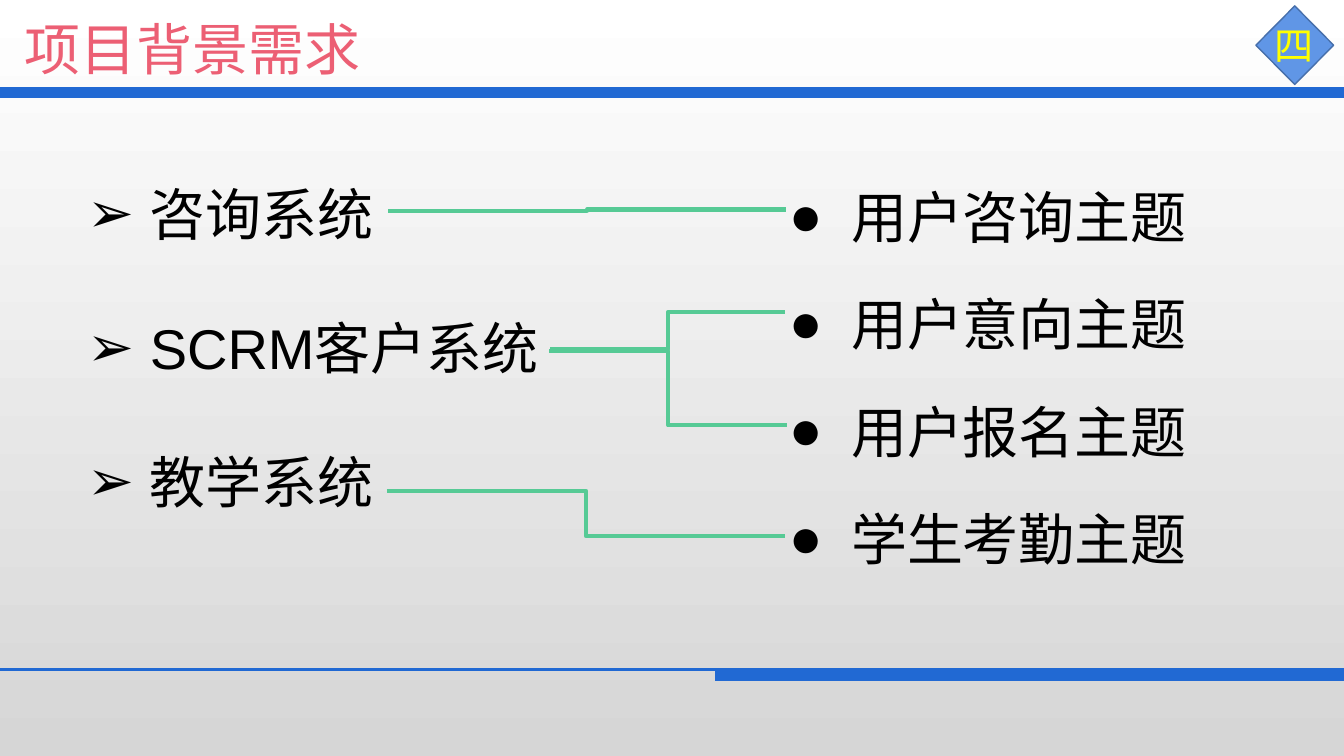
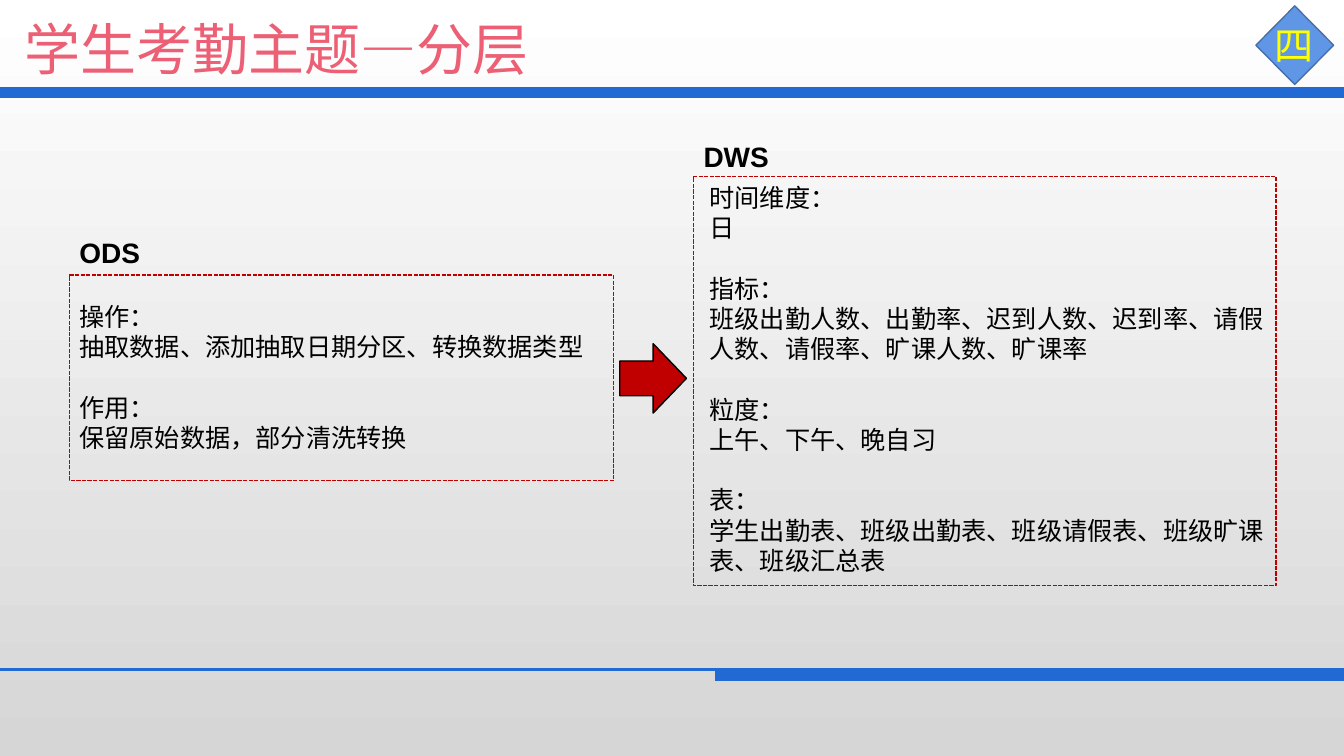
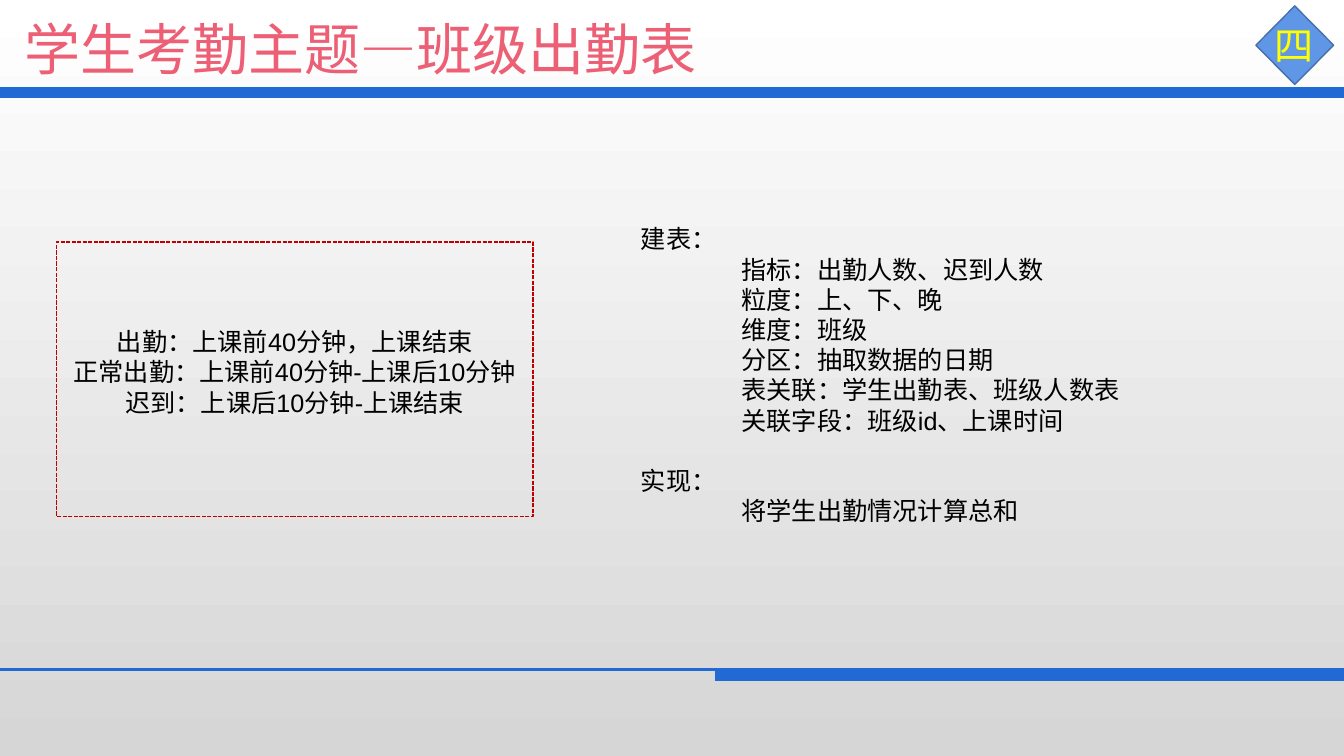
"""Build three slides on the background and the attendance topic of a data project."""
from lxml import etree
from pptx import Presentation
from pptx.dml.color import RGBColor
from pptx.enum.dml import MSO_LINE
from pptx.enum.shapes import MSO_CONNECTOR, MSO_SHAPE
from pptx.enum.text import PP_ALIGN
from pptx.oxml.ns import qn
from pptx.util import Cm, Pt

BLUE = RGBColor(0x21, 0x69, 0xD3)
SKY = RGBColor(0x60, 0x96, 0xE6)
NAVY = RGBColor(0x47, 0x6F, 0xAA)
PINK = RGBColor(0xEC, 0x5F, 0x74)
GOLD = RGBColor(0xFF, 0xFF, 0x00)
GREEN = RGBColor(0x56, 0xCA, 0x95)
RED = RGBColor(0xC0, 0x00, 0x00)
BLACK = RGBColor(0x00, 0x00, 0x00)
WHITE = RGBColor(0xFF, 0xFF, 0xFF)
GREY = RGBColor(0xD6, 0xD6, 0xD6)
FONT = "Arial"
DASH = MSO_LINE.SQUARE_DOT
BENT, LINE = MSO_CONNECTOR.ELBOW, MSO_CONNECTOR.STRAIGHT
RECT, GEM, ARROW = MSO_SHAPE.RECTANGLE, MSO_SHAPE.DIAMOND, MSO_SHAPE.RIGHT_ARROW
LEFT, MID = PP_ALIGN.LEFT, PP_ALIGN.CENTER


def write(slide, area, groups, size=18, color=BLACK, bold=False, align=LEFT,
          gap=0, pitch=None, mark=None, inset=0):
    """Write groups of lines, a gap before each group, later lines inset."""
    frame = slide.shapes.add_textbox(*map(Cm, area)).text_frame
    frame.word_wrap = True
    para = None
    for group in groups:
        for row, line in enumerate(group):
            first = para is None
            para = frame.paragraphs[0] if first else frame.add_paragraph()
            props = para._p.get_or_add_pPr()
            if mark:
                props.set("marL", str(Cm(1.57)))
                props.set("indent", str(-Cm(1.57)))
                etree.SubElement(props, qn("a:buFont"), typeface=FONT)
                etree.SubElement(props, qn("a:buChar"), char=mark)
            elif inset and row:
                props.set("marL", str(Cm(inset)))
            para.alignment = align
            if pitch:
                para.line_spacing = pitch
            if gap and not row and not first:
                para.space_before = Pt(gap)
            run = para.add_run()
            run.text = line
            run.font.name, run.font.size = FONT, Pt(size)
            run.font.bold, run.font.color.rgb = bold, color


def style(item, color, width, fill=None, dash=None):
    """Set the outline and fill of a shape or connector, without a shadow."""
    item.line.color.rgb = color
    item.line.width = Pt(width)
    if dash:
        item.line.dash_style = dash
    if fill:
        item.fill.solid()
        item.fill.fore_color.rgb = fill
    elif hasattr(item, "fill"):
        item.fill.background()
    etree.SubElement(item._element.spPr, qn("a:effectLst"))


deck = Presentation()
deck.slide_width, deck.slide_height = Cm(33.87), Cm(19.05)
back = deck.slide_master.background.fill
back.gradient()
back.gradient_angle = 270
for stop, color in zip(back.gradient_stops, (WHITE, GREY)):
    stop.color.rgb = color

slides = []
for title in ("项目背景需求", "学生考勤主题—分层", "学生考勤主题—班级出勤表"):
    slide = deck.slides.add_slide(deck.slide_layouts[6])
    slides.append(slide)
    for left, top, width in ((-0.05, 2.34, 8), (18.01, 17.02, 8), (-0.05, 16.87, 2)):
        ends = map(Cm, (left, top, 33.9, top))
        style(slide.shapes.add_connector(LINE, *ends), BLUE, width)
    write(slide, (0.38, 0.25, 22.15, 1.96), [[title]], size=40, color=PINK)
    badge = slide.shapes.add_shape(GEM, *map(Cm, (31.65, 0.15, 1.96, 1.98)))
    style(badge, NAVY, 1, fill=SKY)
    write(slide, (31.88, 0.41, 1.5, 1.45), [["四"]], size=28, color=GOLD)
needs, layers, table = slides

write(needs, (1.96, 4.39, 11.89, 8.81), [["咨询系统"], ["SCRM客户系统"], ["教学系统"]],
      size=40, gap=48, mark="➢")
write(needs, (19.63, 3.45, 10.7, 11.2),
      [["用户咨询主题", "用户意向主题", "用户报名主题", "学生考勤主题"]],
      size=40, pitch=1.6, mark="●")
for ends in ((13.87, 8.79, 19.79, 7.87), (13.84, 8.84, 19.84, 10.72),
             (9.78, 5.31, 19.81, 5.28), (9.75, 12.37, 19.79, 13.51)):
    style(needs.shapes.add_connector(BENT, *map(Cm, ends)), GREEN, 3)

for slide, area in ((layers, (1.75, 6.93, 13.72, 5.18)),
                    (layers, (17.48, 4.45, 14.68, 10.31)),
                    (table, (1.42, 6.1, 12.01, 6.91))):
    style(slide.shapes.add_shape(RECT, *map(Cm, area)), RED, 1, dash=DASH)

write(layers, (1.75, 7.47, 13.72, 4.09), [
    ["操作：", "抽取数据、添加抽取日期分区、转换数据类型"],
    ["作用：", "保留原始数据，部分清洗转换"],
], gap=21.6)
write(layers, (17.63, 4.47, 14.68, 10.26), [
    ["时间维度：", "日"],
    ["指标：", "班级出勤人数、出勤率、迟到人数、迟到率、请假人数、请假率、旷课人数、旷课率"],
    ["粒度：", "上午、下午、晚自习"],
    ["表：", "学生出勤表、班级出勤表、班级请假表、班级旷课表、班级汇总表"],
], gap=21.6)
for name, left, top in (("DWS", 17.48, 3.38), ("ODS", 1.75, 5.82)):
    write(layers, (left, top, 3.02, 1.12), [[name]], size=20, bold=True)
arrow = layers.shapes.add_shape(ARROW, *map(Cm, (15.62, 8.66, 1.68, 1.75)))
style(arrow, BLACK, 1, fill=RED)

write(table, (15.9, 5.51, 17.15, 7.95), [
    ["建表：", "指标：出勤人数、迟到人数", "粒度：上、下、晚", "维度：班级",
     "分区：抽取数据的日期", "表关联：学生出勤表、班级人数表", "关联字段：班级id、上课时间"],
    ["实现：", "将学生出勤情况计算总和"],
], gap=21.6, inset=2.54)
write(table, (1.42, 8.1, 12.01, 2.57), [
    ["出勤：上课前40分钟，上课结束", "正常出勤：上课前40分钟-上课后10分钟", "迟到：上课后10分钟-上课结束"],
], align=MID)

deck.save("out.pptx")
